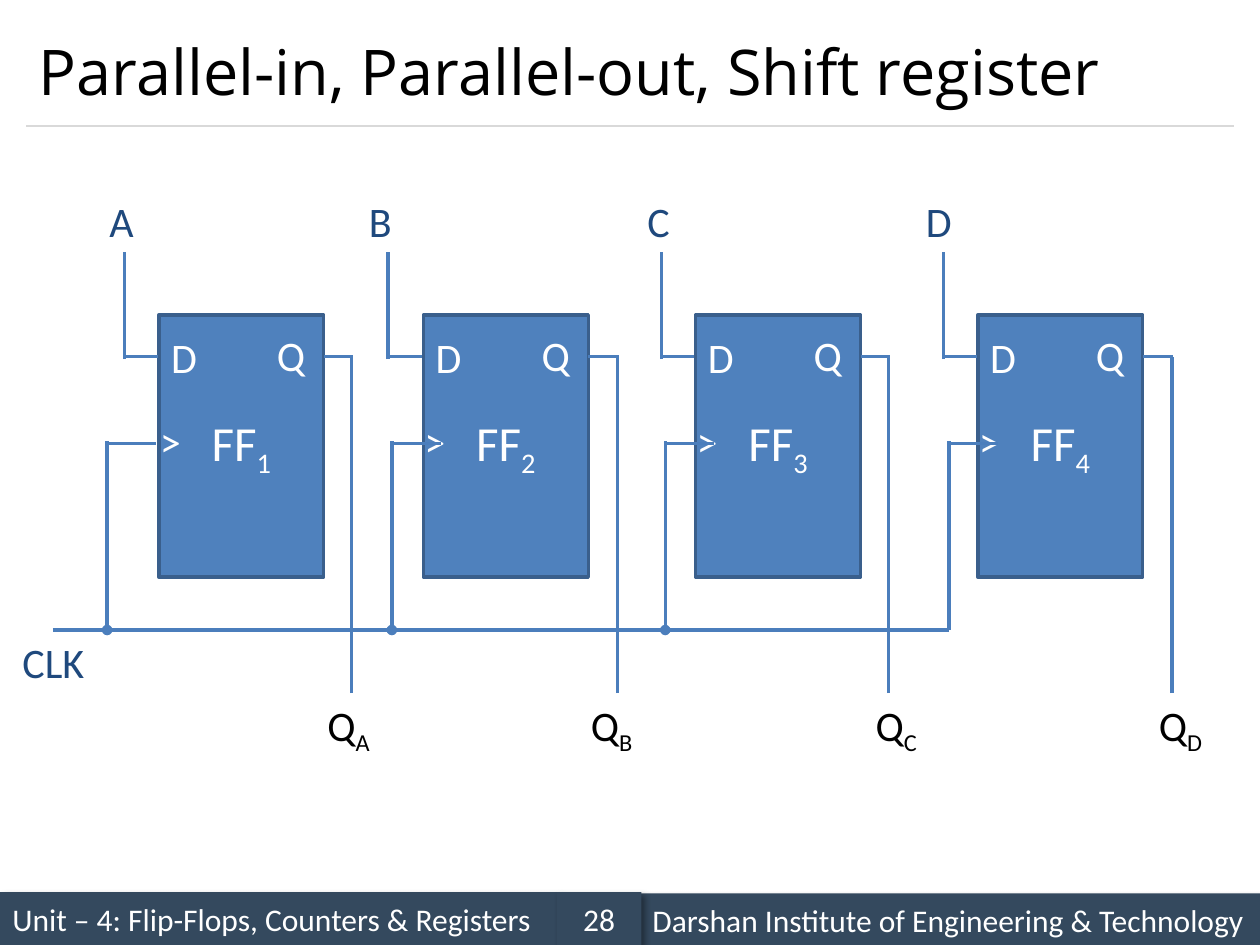
import pptx
import pptx.dml.color
import pptx.enum.shapes
import pptx.enum.text
import pptx.oxml
import pptx.oxml.ns
import pptx.util
from lxml import etree
from pptx.util import Inches

WHITE, BLACK, NAVY = "FFFFFF", "000000", "1F497D"
BLUE, EDGE, WIRE = "4F81BD", "3A5F8C", "4B7EBC"
BAR, RULE = "34495E", "D9D9D9"
ALIGN = pptx.enum.text.PP_ALIGN
MIDDLE = pptx.enum.text.MSO_ANCHOR.MIDDLE

SHADOW = (
    f'<a:effectLst {pptx.oxml.ns.nsdecls("a")}>'
    '<a:outerShdw blurRad="50800" dist="38100" dir="2700000" algn="tl" rotWithShape="0">'
    '<a:srgbClr val="000000"><a:alpha val="40000"/></a:srgbClr>'
    '</a:outerShdw></a:effectLst>'
)


def rgb(value):
    return pptx.dml.color.RGBColor.from_string(value)


class Diagram:
    """Holds the style and the current slide."""

    font = "Calibri"

    def __init__(self, slide):
        self.s = slide

    def set_text(self, sp, text, size, color, sub="", font=None, align=ALIGN.LEFT):
        """Put one line of text, with an optional subscript, into a shape."""
        p = sp.text_frame.paragraphs[0]
        p.text = text
        p.alignment = align
        if sub:
            r = p.add_run()
            r.text = sub
            r.font._element.set("baseline", "-25000")
        for r in p.runs:
            r.font.name = font or self.font
            r.font.size = pptx.util.Pt(size)
            r.font.color.rgb = rgb(color)

    def box(self, x, y, w, h, fill, text, size, sub="", line=None, align=ALIGN.CENTER):
        sp = self.s.shapes.add_shape(
            pptx.enum.shapes.MSO_SHAPE.RECTANGLE, Inches(x), Inches(y), Inches(w), Inches(h))
        sp.shadow.inherit = False
        sp.fill.solid()
        sp.fill.fore_color.rgb = rgb(fill)
        if line:
            sp.line.color.rgb = rgb(line)
            sp.line.width = pptx.util.Pt(2)
        else:
            sp.line.fill.background()
        sp.text_frame.vertical_anchor = MIDDLE
        self.set_text(sp, text, size, WHITE, sub, align=align)
        return sp

    def bar(self, x, y, w, text, align=ALIGN.LEFT):
        """Footer bar with a soft drop shadow."""
        sp = self.box(x, y, w, 0.42, BAR, text, 18, align=align)
        pr = sp._element.spPr
        pr.replace(pr.find(pptx.oxml.ns.qn("a:effectLst")), pptx.oxml.parse_xml(SHADOW))

    def label(self, x, y, w, text, color, sub=""):
        sp = self.s.shapes.add_textbox(Inches(x), Inches(y), Inches(w), Inches(0.5))
        sp.text_frame.word_wrap = False
        sp.text_frame.auto_size = pptx.enum.text.MSO_AUTO_SIZE.SHAPE_TO_FIT_TEXT
        self.set_text(sp, text, 24, color, sub)

    def title(self, text):
        sp = self.s.shapes.add_textbox(Inches(0.21), Inches(0.12), Inches(9.58), Inches(0.88))
        sp.text_frame.word_wrap = True
        sp.text_frame.vertical_anchor = MIDDLE
        self.set_text(sp, text, 36, BLACK, font="Open Sans")

    def line(self, x1, y1, x2, y2, color=WIRE, width=2, dot=False):
        """Straight line, with a dot at its start if asked for."""
        c = self.s.shapes.add_connector(
            pptx.enum.shapes.MSO_CONNECTOR.STRAIGHT,
            Inches(x1), Inches(y1), Inches(x2), Inches(y2))
        c.line.color.rgb = rgb(color)
        c.line.width = pptx.util.Pt(width)
        pr = c._element.spPr
        if dot:
            ln = pr.find(pptx.oxml.ns.qn("a:ln"))
            etree.SubElement(ln, pptx.oxml.ns.qn("a:headEnd"), type="oval")
        etree.SubElement(pr, pptx.oxml.ns.qn("a:effectLst"))

    def flip_flop(self, x, number):
        self.box(x, 2.5, 1.31, 2.08, BLUE, "FF", 28, number, EDGE)
        self.label(x, 2.58, 0.41, "D", WHITE)
        self.label(x + 0.84, 2.57, 0.43, "Q", WHITE)
        self.label(x - 0.09, 3.25, 0.31, ">", WHITE)


# letter, flip-flop left, clock x, clock end, input x, output x,
# input label (left, width), output label (left, width)
STAGES = [
    ("A", 1.26, 0.85, 1.24, 0.99, 2.79, (0.77, 0.40), (2.50, 0.56)),
    ("B", 3.36, 3.11, 3.50, 3.08, 4.90, (2.83, 0.40), (4.59, 0.55)),
    ("C", 5.52, 5.28, 5.67, 5.25, 7.05, (5.04, 0.38), (6.85, 0.55)),
    ("D", 7.76, 7.53, 7.92, 7.49, 9.30, (7.25, 0.41), (9.10, 0.57)),
]
DATA_Y, CLOCK_Y, BUS_Y = 2.83, 3.52, 5


def main():
    prs = pptx.Presentation()
    prs.slide_width, prs.slide_height = Inches(10), Inches(7.5)
    d = Diagram(prs.slides.add_slide(prs.slide_layouts[6]))

    d.bar(0, 7.08, 4.42, "Unit – 4: Flip-Flops, Counters & Registers")
    d.line(0.21, 1, 9.79, 1, RULE, 0.75)
    d.bar(5.08, 7.09, 4.92, "Darshan Institute of Engineering & Technology")
    d.bar(4.42, 7.08, 0.67, "28", ALIGN.CENTER)
    d.title("Parallel-in, Parallel-out, Shift register")

    bus_end = STAGES[-1][2]
    d.line(0.42, BUS_Y, bus_end, BUS_Y)
    d.label(0.08, BUS_Y, 0.7, "CLK", NAVY)

    for number, stage in enumerate(STAGES, 1):
        letter, x, clock_x, clock_end, in_x, out_x, in_label, out_label = stage
        d.flip_flop(x, str(number))
        d.line(clock_x, BUS_Y, clock_x, CLOCK_Y - 0.02, dot=clock_x != bus_end)
        d.line(clock_x - 0.01, CLOCK_Y, clock_end, CLOCK_Y)
        d.line(in_x, DATA_Y + 0.02, in_x, 2)
        d.line(in_x, DATA_Y, x - 0.01, DATA_Y)
        d.line(x + 1.31, DATA_Y, out_x + 0.01, DATA_Y)
        d.line(out_x, 5.5, out_x, DATA_Y)
        d.label(in_label[0], 1.5, in_label[1], letter, NAVY)
        d.label(out_label[0], 5.5, out_label[1], "Q", BLACK, letter)

    prs.save("out.pptx")


if __name__ == "__main__":
    main()
